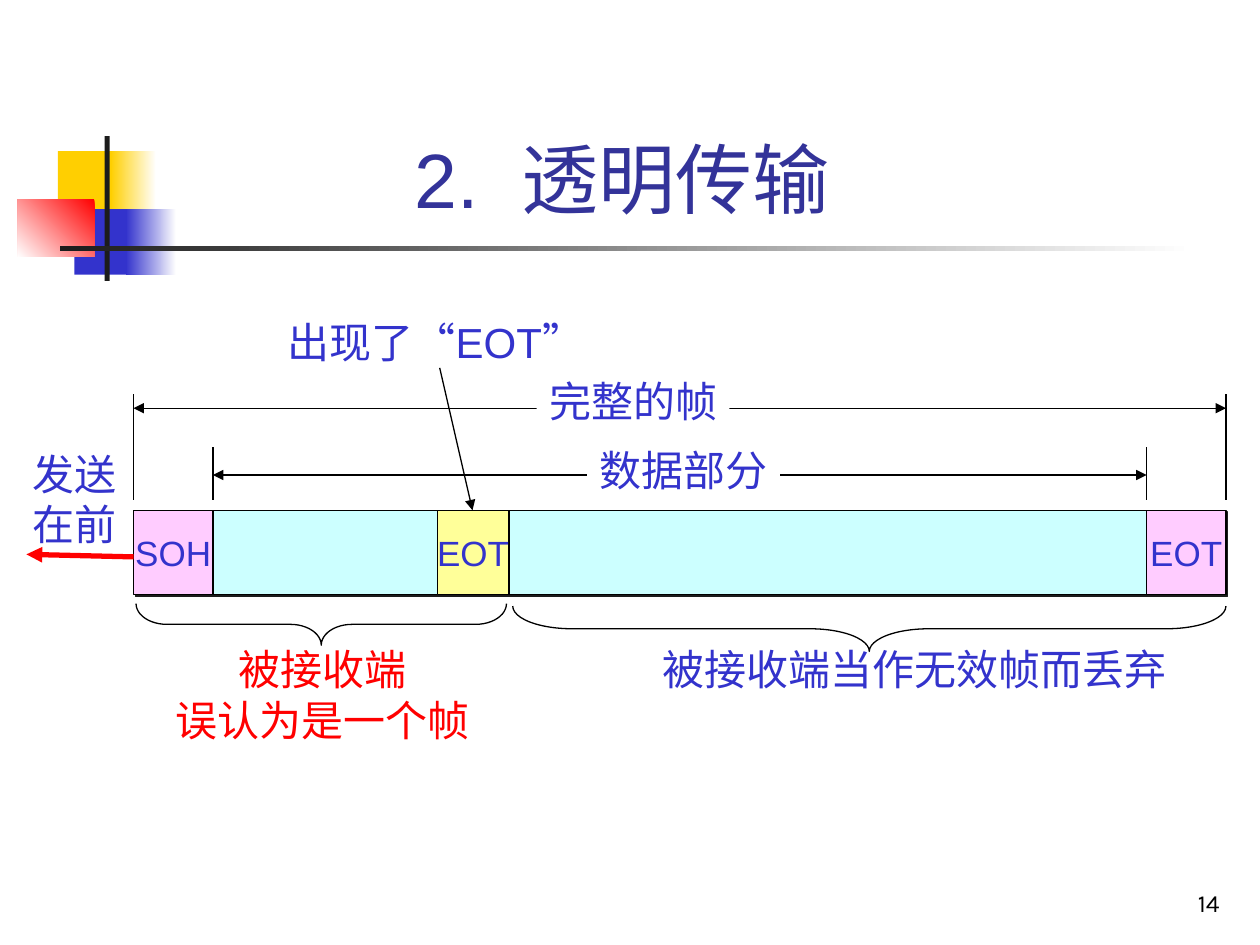
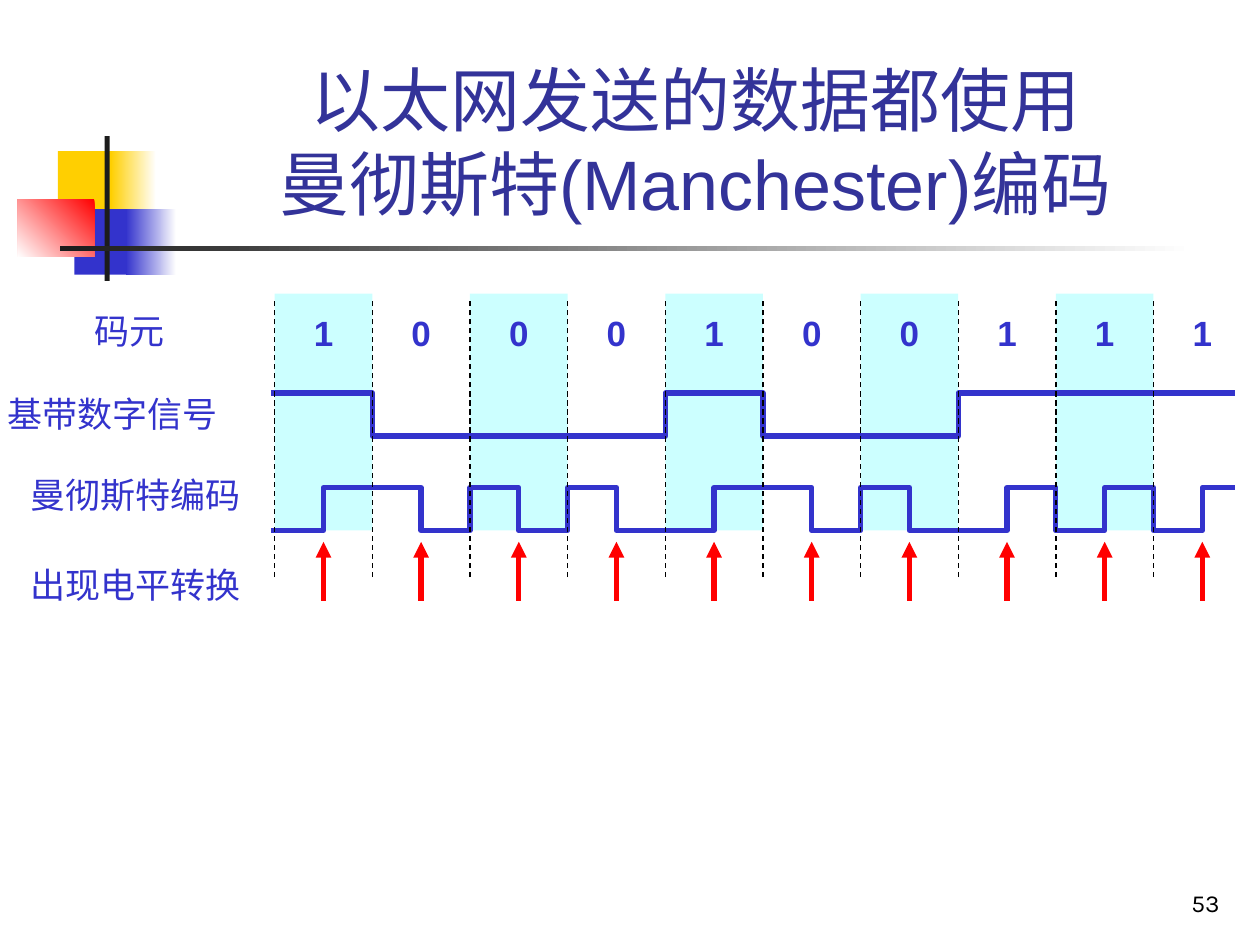
import dataclasses

import pptx
import pptx.dml.color
import pptx.enum.dml
import pptx.enum.shapes
import pptx.enum.text
import pptx.oxml
import pptx.oxml.ns
import pptx.util

Inches = pptx.util.Inches
Pt = pptx.util.Pt
Preset = pptx.enum.shapes.MSO_SHAPE
Align = pptx.enum.text.PP_ALIGN
Anchor = pptx.enum.text.MSO_ANCHOR


@dataclasses.dataclass(frozen=True)
class Theme:
    font: str = "Arial"
    number_font: str = "Karla"
    blue: str = "3333CC"
    title: str = "333399"
    red: str = "FF0000"
    yellow: str = "FFCF01"
    ink: str = "1C1C1C"
    black: str = "000000"
    white: str = "FFFFFF"
    pink: str = "FFCCFF"
    cyan: str = "CCFFFF"
    pale_yellow: str = "FFFF99"
    frame_title_size: int = 44
    signal_title_size: int = 40
    label_size: int = 24
    small_size: int = 20
    number_size: int = 14
    thin: float = 0.75
    thick: float = 3


@dataclasses.dataclass(frozen=True)
class Box:
    left: float
    top: float
    width: float
    height: float

    @property
    def right(self):
        return self.left + self.width

    @property
    def bottom(self):
        return self.top + self.height

    def inches(self):
        return [Inches(v) for v in (self.left, self.top, self.width, self.height)]


THEME = Theme()


def rgb(value):
    return pptx.dml.color.RGBColor.from_string(value)


def drawing_element(tag, attributes="", inner=""):
    namespace = pptx.oxml.ns.nsdecls("a")
    return pptx.oxml.parse_xml(f"<a:{tag} {namespace} {attributes}>{inner}</a:{tag}>")


def add_run(paragraph, text, size, color, font=THEME.font, bold=False):
    run = paragraph.add_run()
    run.text = text
    run.font.size = Pt(size)
    run.font.name = font
    run.font.bold = bold
    run.font.color.rgb = rgb(color)
    return run


def write(shape, lines, size, color=THEME.blue, align=Align.CENTER,
          anchor=Anchor.MIDDLE, font=THEME.font, bold=False):
    frame = shape.text_frame
    frame.word_wrap = False
    frame.vertical_anchor = anchor
    frame.margin_left = frame.margin_right = 0
    frame.margin_top = frame.margin_bottom = 0
    for index, line in enumerate(lines):
        paragraph = frame.add_paragraph() if index else frame.paragraphs[0]
        paragraph.alignment = align
        add_run(paragraph, line, size, color, font, bold)


def add_text(slide, box, lines, size, **style):
    shape = slide.shapes.add_textbox(*box.inches())
    write(shape, lines, size, **style)
    shape.text_frame.word_wrap = True


def add_block(slide, box, fill, outline=None, preset=Preset.RECTANGLE):
    shape = slide.shapes.add_shape(preset, *box.inches())
    shape.shadow.inherit = False
    if fill:
        shape.fill.solid()
        shape.fill.fore_color.rgb = rgb(fill)
    else:
        shape.fill.background()
    if outline:
        shape.line.color.rgb = rgb(outline)
        shape.line.width = Pt(THEME.thin)
    else:
        shape.line.fill.background()
    return shape


def add_gradient(slide, box, start, end, angle):
    fill = add_block(slide, box, start).fill
    fill.gradient()
    fill.gradient_angle = angle
    for stop, color in zip(fill.gradient_stops, (start, end)):
        stop.color.rgb = rgb(color)


def add_line(slide, start, end, color=THEME.black, width=THEME.thin,
             arrows=(), dashed=False):
    connector = slide.shapes.add_connector(
        pptx.enum.shapes.MSO_CONNECTOR.STRAIGHT,
        *[Inches(value) for value in (*start, *end)])
    connector.line.color.rgb = rgb(color)
    connector.line.width = Pt(width)
    if dashed:
        connector.line.dash_style = pptx.enum.dml.MSO_LINE.DASH
    outline = connector.line._get_or_add_ln()
    for arrow in arrows:
        outline.append(drawing_element(arrow, 'type="triangle"'))
    connector._element.spPr.append(drawing_element("effectLst"))


def add_corner_motif(slide, box):
    def part(left, top, width, height):
        return Box(box.left + left, box.top + top, width, height)

    add_block(slide, part(0.32, 0.12, 0.48, 0.52), THEME.yellow)
    add_gradient(slide, part(0.74, 0.12, 0.36, 0.52), THEME.white, THEME.yellow, 180)
    add_block(slide, part(0.45, 0.58, 0.46, 0.52), THEME.blue)
    add_gradient(slide, part(0.86, 0.58, 0.4, 0.52), THEME.white, THEME.blue, 180)
    add_gradient(slide, part(0, 0.5, 0.61, 0.46), THEME.red, THEME.white, 225)
    add_block(slide, part(0.69, 0, 0.04, box.height), THEME.ink)
    add_gradient(slide, part(0.34, 0.87, 9, 0.04), THEME.white, THEME.ink, 180)


def set_title(slide, box, lines, size):
    title = slide.shapes.title
    title.left, title.top, title.width, title.height = box.inches()
    frame = title.text_frame
    frame.auto_size = pptx.enum.text.MSO_AUTO_SIZE.NONE
    frame.vertical_anchor = Anchor.BOTTOM
    paragraph = frame.paragraphs[0]
    paragraph.alignment = Align.CENTER
    for index, line in enumerate(lines):
        if index:
            paragraph.add_line_break()
        for text, spacing in line:
            run = add_run(paragraph, text, size, THEME.title)
            if spacing:
                run.font._element.set("spc", str(Pt(spacing).centipoints))


def start_slide(presentation, title_box, title_lines, title_size, number):
    slide = presentation.slides.add_slide(presentation.slide_layouts[5])
    add_corner_motif(slide, Box(0.14, 1.08, 9.34, 1.15))
    set_title(slide, title_box, title_lines, title_size)
    add_text(slide, Box(7.8, 6.88, 1.88, 0.4), [number], THEME.number_size,
             color=THEME.black, align=Align.RIGHT, anchor=Anchor.BOTTOM,
             font=THEME.number_font)
    return slide


def add_frame_cell(slide, box, fill, text=None, shadow=True):
    cell = add_block(slide, box, fill, THEME.black)
    if shadow:
        effects = cell._element.spPr.find(pptx.oxml.ns.qn("a:effectLst"))
        effects.append(drawing_element(
            "outerShdw", f'dist="{Pt(1.4)}" dir="2700000" algn="ctr" rotWithShape="0"',
            f'<a:srgbClr val="{THEME.ink}"/>'))
    if text:
        write(cell, [text], THEME.small_size)


def add_dimension(slide, box, line_y, label, label_box):
    for x in (box.left, box.right):
        add_line(slide, (x, box.top), (x, box.bottom))
    add_line(slide, (box.left, line_y), (box.right, line_y),
             arrows=("headEnd", "tailEnd"))
    write(add_block(slide, label_box, THEME.white), [label], THEME.label_size)


def add_brace_below(slide, box):
    center_x = box.left + box.width / 2
    center_y = box.top + box.height / 2
    upright = Box(center_x - box.height / 2, center_y - box.width / 2,
                  box.height, box.width)
    brace = add_block(slide, upright, None, THEME.black, Preset.LEFT_BRACE)
    brace.rotation = 270
    brace.adjustments[0] = box.width / box.height / 12


def add_frame_diagram(slide, box):
    end_width = 0.63
    data_left = box.left + end_width
    data_right = box.right - end_width
    early_eot = Box(box.left + 2.41, box.top, 0.57, box.height)
    add_frame_cell(slide, Box(box.left, box.top, end_width, box.height),
                   THEME.pink, "SOH")
    add_frame_cell(slide, Box(data_left, box.top, data_right - data_left, box.height),
                   THEME.cyan)
    add_frame_cell(slide, early_eot, THEME.pale_yellow, "EOT", shadow=False)
    add_frame_cell(slide, Box(data_right, box.top, end_width, box.height),
                   THEME.pink, "EOT")

    add_line(slide, (early_eot.left + 0.02, box.top - 1.13),
             (early_eot.left + 0.28, box.top), arrows=("tailEnd",))
    add_text(slide, Box(box.left + 0.65, box.top - 1.59, 3.5, 0.5),
             ["出现了“EOT”"], THEME.label_size)
    add_dimension(slide, Box(data_left, box.top - 0.5, data_right - data_left, 0.42),
                  box.top - 0.28, "数据部分",
                  Box(box.left + 3.6, box.top - 0.57, 1.53, 0.5))
    add_dimension(slide, Box(box.left, box.top - 0.92, box.width, 0.84),
                  box.top - 0.81, "完整的帧",
                  Box(box.left + 3.2, box.top - 1.12, 1.53, 0.5))

    add_text(slide, Box(box.left - 0.8, box.top - 0.54, 0.78, 0.9),
             ["发送", "在前"], THEME.label_size, align=Align.LEFT)
    add_line(slide, (box.left, box.top + 0.37), (box.left - 0.85, box.top + 0.35),
             THEME.red, THEME.thick, ("tailEnd",))

    add_brace_below(slide, Box(box.left + 0.02, box.bottom + 0.07, 2.94, 0.33))
    add_brace_below(slide, Box(box.left + 3.01, box.bottom + 0.09, 5.66, 0.36))
    add_text(slide, Box(box.left, box.bottom + 0.34, 3, 0.9),
             ["被接收端", "误认为是一个帧"], THEME.label_size, color=THEME.red)
    add_text(slide, Box(box.left + 3.9, box.bottom + 0.34, 4.6, 0.5),
             ["被接收端当作无效帧而丢弃"], THEME.label_size)


def add_wave(slide, box, levels, step):
    points = []
    for index, level in enumerate(levels):
        y = box.top if level else box.bottom
        points += [(box.left + index * step, y), (box.left + (index + 1) * step, y)]
    points[0] = (box.left - 0.03, points[0][1])
    points[-1] = (box.right, points[-1][1])
    points = [(Inches(x), Inches(y)) for x, y in points]
    builder = slide.shapes.build_freeform(*points[0])
    builder.add_line_segments(points[1:], close=False)
    wave = builder.convert_to_shape()
    wave.shadow.inherit = False
    wave.fill.background()
    wave.line.color.rgb = rgb(THEME.blue)
    wave.line.width = Pt(THEME.thick)


def add_signal_chart(slide, box, bits):
    period = box.width / len(bits)
    starts = [box.left + index * period for index in range(len(bits))]
    for start in starts[::2]:
        add_block(slide, Box(start, box.top, period, 1.88), THEME.cyan)
    for start, bit in zip(starts, bits):
        add_text(slide, Box(start, box.top + 0.09, period, 0.43), [str(bit)],
                 THEME.small_size, bold=True)

    wave_width = box.width - 0.13
    halves = [level for bit in bits for level in (1 - bit, bit)]
    add_wave(slide, Box(box.left, box.top + 0.79, wave_width, 0.34), bits, period)
    add_wave(slide, Box(box.left, box.top + 1.54, wave_width, 0.34), halves, period / 2)

    for start in starts:
        add_line(slide, (start, box.top + 2.25), (start, box.top + 0.05), dashed=True)
        middle = start + period / 2
        add_line(slide, (middle, box.bottom), (middle, box.bottom - 0.47),
                 THEME.red, THEME.thick, ("tailEnd",))


def add_row_labels(slide, box):
    rows = (("码元", 0.69, 0), ("基带数字信号", 0, 0.66),
            ("曼彻斯特编码", 0.18, 1.3), ("出现电平转换", 0.18, 2.01))
    for text, indent, offset in rows:
        add_text(slide, Box(box.left + indent, box.top + offset,
                            box.width - indent, 0.43),
                 [text], THEME.small_size, align=Align.LEFT)


def main():
    presentation = pptx.Presentation()
    presentation.slide_width = Inches(10)
    presentation.slide_height = Inches(7.5)

    slide = start_slide(presentation, Box(1.26, 0.23, 7.36, 1.6),
                        [[("2.", 0), (" ", 12), ("透明传输", 0)]],
                        THEME.frame_title_size, "14")
    add_frame_diagram(slide, Box(1.06, 4.05, 8.67, 0.67))

    slide = start_slide(presentation, Box(1.26, 0.23, 8.52, 1.6),
                        [[("以太网发送的数据都使用", 0)],
                         [("曼彻斯特(Manchester)编码", 0)]],
                        THEME.signal_title_size, "53")
    add_row_labels(slide, Box(0.06, 2.41, 2.1, 2.44))
    add_signal_chart(slide, Box(2.18, 2.33, 7.75, 2.44),
                     [1, 0, 0, 0, 1, 0, 0, 1, 1, 1])

    presentation.save("out.pptx")


if __name__ == "__main__":
    main()
